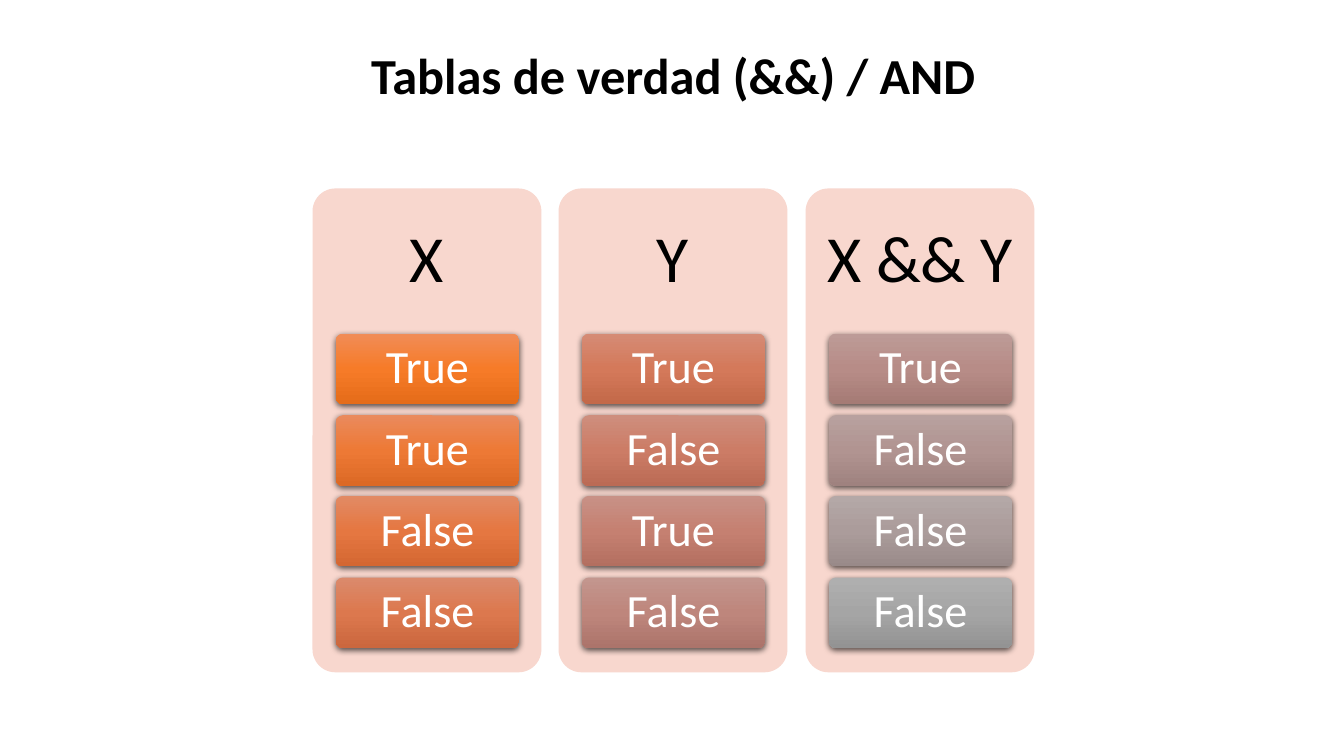
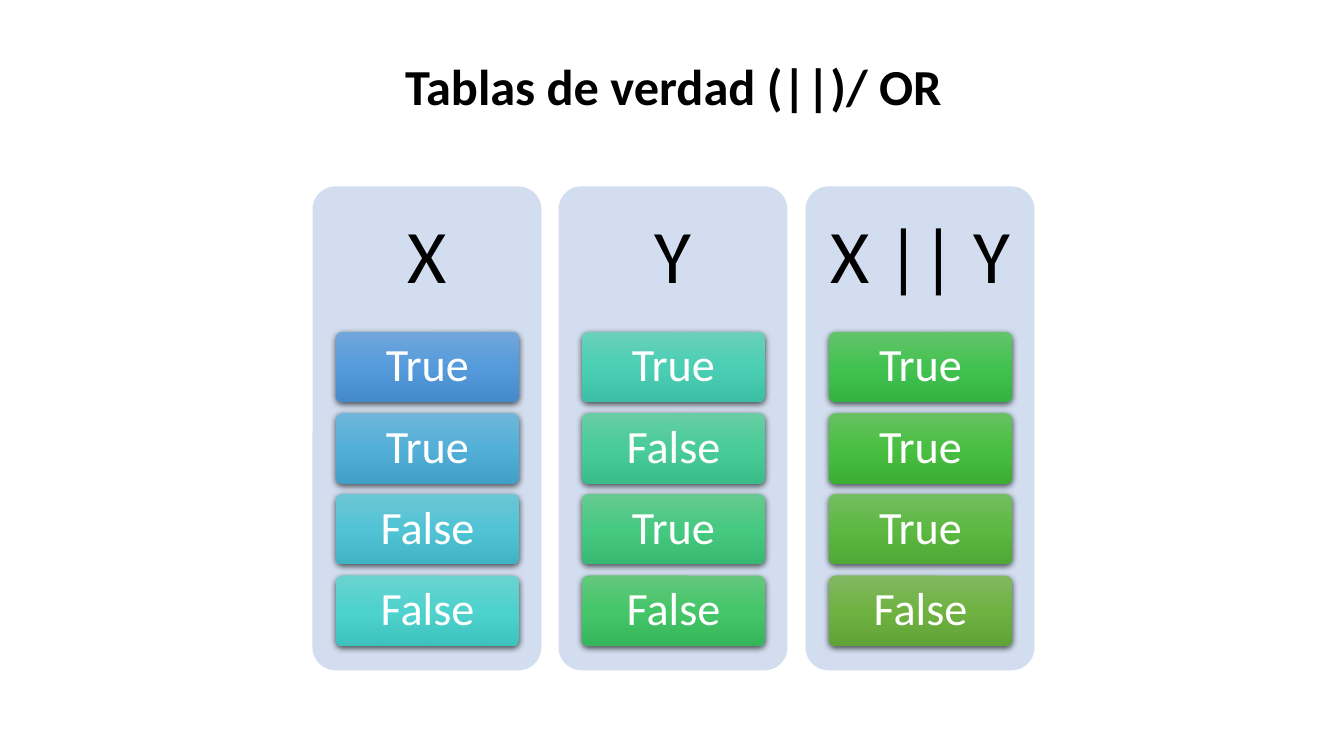
"""Build two slides with the truth tables of the AND and OR operators."""
from collections.abc import Callable, Iterable
from copy import deepcopy
from dataclasses import dataclass
from itertools import product

from lxml.etree import SubElement
from pptx import Presentation
from pptx.dml.color import RGBColor
from pptx.enum.shapes import MSO_SHAPE
from pptx.enum.text import MSO_ANCHOR, PP_ALIGN
from pptx.oxml.ns import qn
from pptx.presentation import Presentation as Deck
from pptx.shapes.autoshape import Shape
from pptx.slide import Slide
from pptx.text.text import TextFrame
from pptx.util import Emu, Pt

EMU_PER_PX = 9144
FONT = "Calibri"
CORNER = 0.1
TITLE_ONLY_LAYOUT = 5

TITLE_LEFT, TITLE_WIDTH = 218, 900
PANEL_WIDTH, PANEL_HEIGHT = 227, 480
PANEL_FIRST, PANEL_LAST = 310, 799
HEADER_HEIGHT, HEADER_INSET = 144, 10
CELL_WIDTH, CELL_HEIGHT = 182, 70
CELL_OFFSET, CELL_SPAN, CELL_INSET = 23, 242, 9

COLOURS = {
    "text": "000000",
    "cell_text": "FFFFFF",
    "shadow": "000000",
    "and_panel": "F8D7CE",
    "or_panel": "D2DEEF",
}

GRADIENTS = {
    "and": [
        "F18C57 F67B28 E56C19", "EA8A5D ED7935 DC6925",
        "E28A64 E57741 D46732", "DB8A6C DC784E CB673E",
        "D58B75 D4795A C36949", "CE8E7D CC7C66 BB6B55",
        "C89186 C58071 B36F60", "C3968E BE867C AC746B",
        "BD9B97 B78C87 A57B75", "B8A19F B19491 9F827F",
        "B4A8A7 AB9C9B 998A89", "AFAFAF A5A5A5 939393",
    ],
    "or": [
        "71A6DB 559BDB 448ACA", "6FB6D8 52AFD8 429FC7",
        "6DC6D5 50C3D5 40B3C5", "6BD3CF 4DD2CE 3EC2BD",
        "6AD0B9 4BCFB4 3CBFA4", "68CDA4 49CC9A 3ABC8B",
        "66CA90 46C981 38B972", "65C77D 44C669 36B65A",
        "64C46C 42C250 34B342", "67C162 48BF40 3CAE34",
        "73BD61 5DB841 50A935", "81B861 6FB242 62A336",
    ],
}


@dataclass(frozen=True)
class Box:
    """A rectangle in whole px."""

    left: int
    top: int
    width: int
    height: int

    def emu(self) -> tuple[Emu, Emu, Emu, Emu]:
        """Return the rectangle in EMU."""
        return px(self.left), px(self.top), px(self.width), px(self.height)


@dataclass(frozen=True)
class TextStyle:
    """Size, colour and weight of a run."""

    size: int
    colour: str = "text"
    bold: bool = False


@dataclass(frozen=True)
class TruthTable:
    """One slide with the truth table of an operator."""

    title: str
    title_top: int
    title_height: int
    palette: str
    panel_top: int
    header_size: int
    result_header: str
    operator: Callable[[Iterable[bool]], bool]

    def columns(self) -> list[tuple[str, list[bool]]]:
        """Return each header with the values below it."""
        inputs = list(product((True, False), repeat=2))
        return [
            ("X", [first for first, _ in inputs]),
            ("Y", [second for _, second in inputs]),
            (self.result_header, [self.operator(pair) for pair in inputs]),
        ]


TITLE_STYLE = TextStyle(36, bold=True)
CELL_STYLE = TextStyle(33, "cell_text")
TABLES = [
    TruthTable("Tablas de verdad (&&) / AND", 16, 124, "and", 187, 47, "X && Y", all),
    TruthTable("Tablas de verdad (||)/ OR", 36, 105, "or", 185, 54, "X || Y", any),
]


def px(length: int) -> Emu:
    """Turn px into EMU."""
    return Emu(length * EMU_PER_PX)


def spread(first: int, last: int, count: int) -> list[int]:
    """Return evenly spaced positions from first to last."""
    return [first + round((last - first) * step / (count - 1)) for step in range(count)]


def write(frame: TextFrame, text: str, style: TextStyle, inset: int) -> None:
    """Write one centred line of text."""
    frame.word_wrap = True
    frame.vertical_anchor = MSO_ANCHOR.MIDDLE
    frame.margin_left = frame.margin_right = px(inset)
    frame.margin_top = frame.margin_bottom = px(inset)
    paragraph = frame.paragraphs[0]
    paragraph.alignment = PP_ALIGN.CENTER
    paragraph.line_spacing = 0.9
    run = paragraph.add_run()
    run.text = text
    run.font.name = FONT
    run.font.size = Pt(style.size)
    run.font.bold = style.bold
    run.font.color.rgb = RGBColor.from_string(COLOURS[style.colour])


def add_rounded(slide: Slide, box: Box) -> Shape:
    """Add a rounded rectangle without line or shadow."""
    shape = slide.shapes.add_shape(MSO_SHAPE.ROUNDED_RECTANGLE, *box.emu())
    shape.adjustments[0] = CORNER
    shape.line.fill.background()
    shape.shadow.inherit = False
    return shape


def fill_gradient(shape: Shape, colours: list[str]) -> None:
    """Fill a shape from top to bottom with three colours."""
    shape.fill.gradient()
    shape.fill.gradient_angle = 270
    stop_list = shape.element.spPr.find(f".//{qn('a:gsLst')}")
    stop_list.append(deepcopy(stop_list[-1]))
    for index, (stop, colour) in enumerate(zip(shape.fill.gradient_stops, colours)):
        stop.position = index / 2
        stop.color.rgb = RGBColor.from_string(colour)


def add_shadow(shape: Shape) -> None:
    """Give a shape a soft shadow below it."""
    effects = shape.element.spPr.find(qn("a:effectLst"))
    shadow = SubElement(
        effects, qn("a:outerShdw"), blurRad=str(Pt(4.5)), dist=str(Pt(1.5)),
        dir="5400000", algn="ctr", rotWithShape="0",
    )
    colour = SubElement(shadow, qn("a:srgbClr"), val=COLOURS["shadow"])
    SubElement(colour, qn("a:alpha"), val="63000")


def add_title(slide: Slide, table: TruthTable) -> None:
    """Place and write the title placeholder."""
    title = slide.shapes.title
    box = Box(TITLE_LEFT, table.title_top, TITLE_WIDTH, table.title_height)
    title.left, title.top, title.width, title.height = box.emu()
    write(title.text_frame, table.title, TITLE_STYLE, 5)


def add_panel(slide: Slide, table: TruthTable, left: int, header: str) -> None:
    """Add the panel of a column and its header."""
    panel = add_rounded(slide, Box(left, table.panel_top, PANEL_WIDTH, PANEL_HEIGHT))
    panel.fill.solid()
    panel.fill.fore_color.rgb = RGBColor.from_string(COLOURS[f"{table.palette}_panel"])
    header_box = Box(left, table.panel_top, PANEL_WIDTH, HEADER_HEIGHT)
    text_box = slide.shapes.add_textbox(*header_box.emu())
    write(text_box.text_frame, header, TextStyle(table.header_size), HEADER_INSET)


def add_cell(slide: Slide, left: int, top: int, value: bool, gradient: str) -> None:
    """Add one truth value."""
    cell = add_rounded(slide, Box(left, top, CELL_WIDTH, CELL_HEIGHT))
    fill_gradient(cell, gradient.split())
    add_shadow(cell)
    write(cell.text_frame, str(value), CELL_STYLE, CELL_INSET)


def add_table_slide(presentation: Deck, table: TruthTable) -> None:
    """Add the slide of one truth table."""
    slide = presentation.slides.add_slide(presentation.slide_layouts[TITLE_ONLY_LAYOUT])
    add_title(slide, table)
    gradients = iter(GRADIENTS[table.palette])
    columns = table.columns()
    first_cell = table.panel_top + HEADER_HEIGHT
    lefts = spread(PANEL_FIRST, PANEL_LAST, len(columns))
    for left, (header, values) in zip(lefts, columns):
        add_panel(slide, table, left, header)
        tops = spread(first_cell, first_cell + CELL_SPAN, len(values))
        for top, value in zip(tops, values):
            add_cell(slide, left + CELL_OFFSET, top, value, next(gradients))


def main() -> None:
    """Build and save the presentation."""
    presentation = Presentation()
    presentation.slide_width, presentation.slide_height = px(1333), px(750)
    for table in TABLES:
        add_table_slide(presentation, table)
    presentation.save("out.pptx")


if __name__ == "__main__":
    main()
